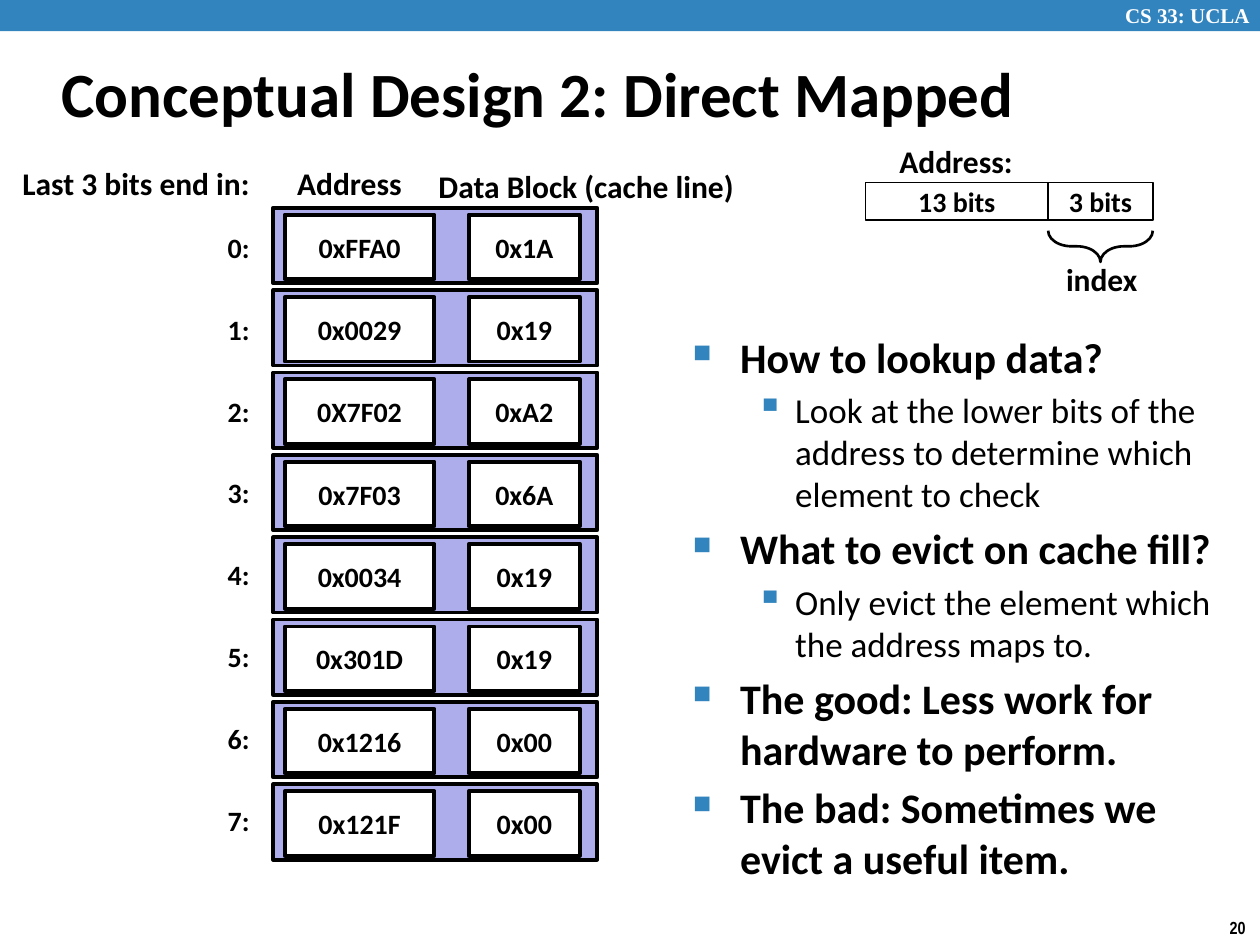
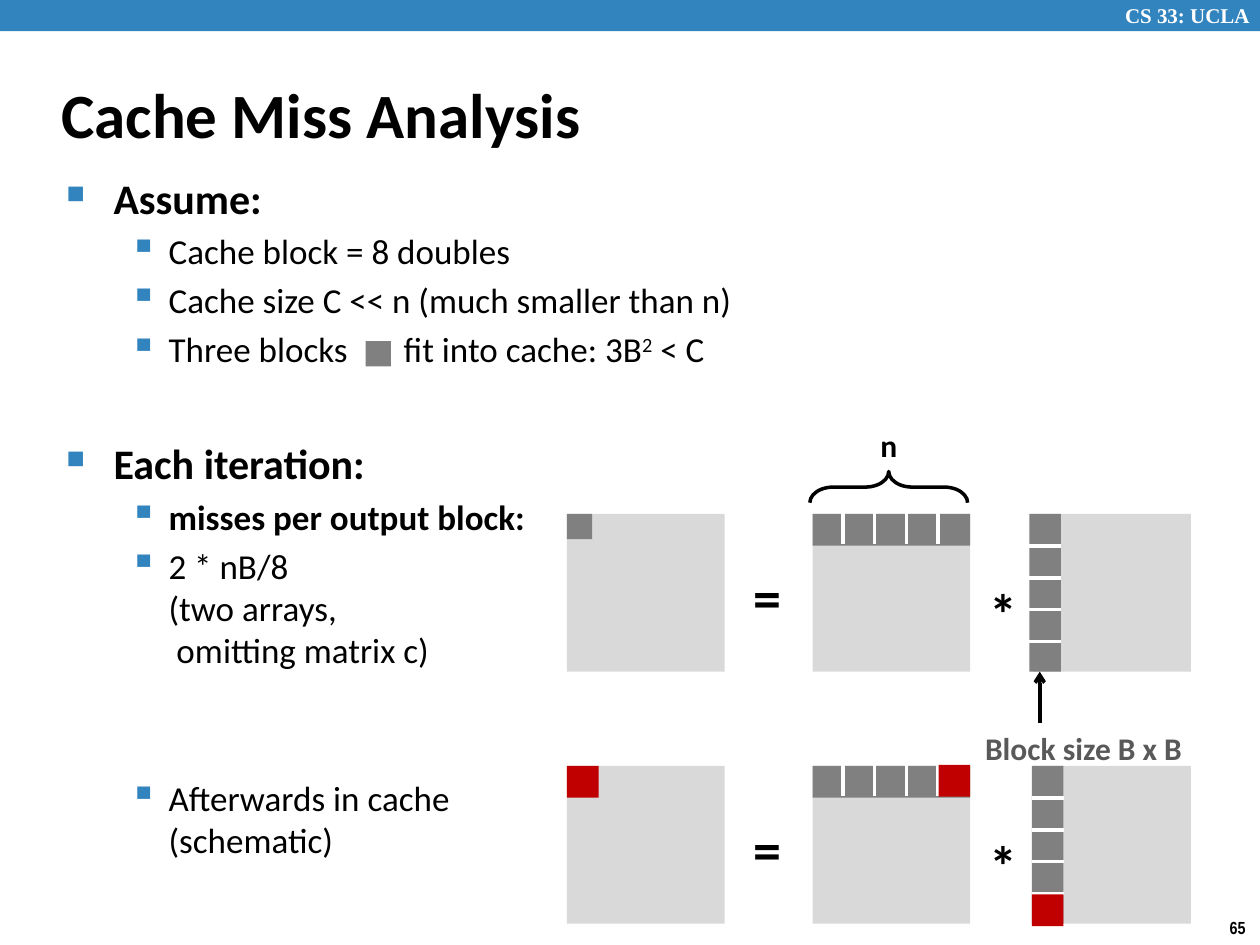
from dataclasses import dataclass

from lxml import etree
from pptx import Presentation
from pptx.dml.color import RGBColor
from pptx.enum.shapes import MSO_CONNECTOR, MSO_SHAPE
from pptx.enum.text import MSO_ANCHOR, PP_ALIGN
from pptx.oxml.ns import qn
from pptx.util import Cm, Pt

RECTANGLE = MSO_SHAPE.RECTANGLE
LEFT_BRACE = MSO_SHAPE.LEFT_BRACE
STRAIGHT = MSO_CONNECTOR.STRAIGHT
TOP, MIDDLE = MSO_ANCHOR.TOP, MSO_ANCHOR.MIDDLE
LEFT, CENTER = PP_ALIGN.LEFT, PP_ALIGN.CENTER

COLORS = {
    "band": "3284BF",
    "black": "000000",
    "white": "FFFFFF",
    "cache_line": "ADADEB",
    "matrix": "D9D9D9",
    "block": "808080",
    "cached": "C00000",
    "caption": "595959",
}


@dataclass
class Box:
    """Position and size in centimetres."""
    left: float
    top: float
    width: float
    height: float

    def lengths(self) -> tuple:
        return Cm(self.left), Cm(self.top), Cm(self.width), Cm(self.height)


@dataclass
class Bullet:
    text: str
    level: int = 0
    bold: bool = False
    space_before: float = 4
    tab: float = 0


@dataclass
class BulletStyle:
    symbol: str
    percent: int
    margin: float
    hanging: float
    size: int


@dataclass
class CacheLine:
    address: str
    data: str


BULLET_STYLES = [
    BulletStyle("■", 60, 0.95, 0.95, 24),
    BulletStyle("▪", 110, 2.06, 0.79, 20),
]


def rgb(name: str) -> RGBColor:
    return RGBColor.from_string(COLORS[name])


# Text: "\n" breaks a line, and a part between two "^" is raised
def write(paragraph, text: str, *, size: float, bold: bool = True, color: str = "black",
          font: str = "Calibri", align=LEFT) -> None:
    paragraph.alignment = align
    for line_number, line in enumerate(text.split("\n")):
        if line_number:
            paragraph.add_line_break()
        for part_number, part in enumerate(line.split("^")):
            run = paragraph.add_run()
            run.text = part
            run.font.size = Pt(size)
            run.font.bold = bold
            run.font.name = font
            run.font.color.rgb = rgb(color)
            if part_number % 2:
                run.font._element.set("baseline", "30000")


def add_text(slide, box: Box, text: str, *, wrap: bool = False, anchor=TOP, **text_format):
    shape = slide.shapes.add_textbox(*box.lengths())
    shape.text_frame.word_wrap = wrap
    shape.text_frame.vertical_anchor = anchor
    write(shape.text_frame.paragraphs[0], text, **text_format)
    return shape


def add_bullets(slide, box: Box, bullets: list[Bullet]) -> None:
    frame = slide.shapes.add_textbox(*box.lengths()).text_frame
    frame.word_wrap = True
    for number, bullet in enumerate(bullets):
        paragraph = frame.add_paragraph() if number else frame.paragraphs[0]
        style = BULLET_STYLES[bullet.level]
        properties = paragraph._p.get_or_add_pPr()
        properties.set("marL", str(Cm(style.margin)))
        properties.set("indent", str(-Cm(style.hanging)))
        color = etree.SubElement(properties, qn("a:buClr"))
        etree.SubElement(color, qn("a:srgbClr"), val=COLORS["band"])
        etree.SubElement(properties, qn("a:buSzPct"), val=str(style.percent * 1000))
        etree.SubElement(properties, qn("a:buChar"), char=style.symbol)
        if bullet.tab:
            tabs = etree.SubElement(properties, qn("a:tabLst"))
            etree.SubElement(tabs, qn("a:tab"), pos=str(Cm(bullet.tab)), algn="l")
        if number:
            paragraph.space_before = Pt(bullet.space_before)
        write(paragraph, bullet.text, size=style.size, bold=bullet.bold)


# Shapes and lines
def add_rectangle(slide, box: Box, fill: str, *, line_width: float = 0, text: str = "",
                  wrap: bool = False):
    shape = slide.shapes.add_shape(RECTANGLE, *box.lengths())
    shape.shadow.inherit = False
    shape.fill.solid()
    shape.fill.fore_color.rgb = rgb(fill)
    if line_width:
        shape.line.color.rgb = rgb("black")
        shape.line.width = Pt(line_width)
    else:
        shape.line.fill.background()
    if text:
        shape.text_frame.word_wrap = wrap
        shape.text_frame.vertical_anchor = MIDDLE
        write(shape.text_frame.paragraphs[0], text, size=16, align=CENTER)
    return shape


def add_brace(slide, box: Box, rotation: int, line_width: float) -> None:
    brace = slide.shapes.add_shape(LEFT_BRACE, *box.lengths())
    brace.shadow.inherit = False
    brace.rotation = rotation
    brace.adjustments[0] = 0.75
    brace.adjustments[1] = 0.5
    brace.fill.background()
    brace.line.color.rgb = rgb("black")
    brace.line.width = Pt(line_width)


def add_line(slide, start: tuple[float, float], end: tuple[float, float], color: str,
             arrow: bool = False) -> None:
    connector = slide.shapes.add_connector(STRAIGHT, *map(Cm, start + end))
    connector.line.color.rgb = rgb(color)
    connector.line.width = Pt(2)
    if arrow:
        etree.SubElement(connector.line._get_or_add_ln(), qn("a:tailEnd"), type="arrow")
    etree.SubElement(connector._element.spPr, qn("a:effectLst"))


# Band, course name, page number and title
def add_base_slide(presentation, title: str, title_top: float, page: int):
    slide = presentation.slides.add_slide(presentation.slide_layouts[6])
    add_rectangle(slide, Box(0, 0, 25.4, 0.63), "band")
    add_text(slide, Box(22.43, -0.08, 3.15, 0.76), "CS 33: UCLA", wrap=True, size=12,
             color="white", font="Times New Roman")
    add_text(slide, Box(24.54, 18.36, 0.86, 0.69), str(page), size=10, font="Arial Narrow")
    add_text(slide, Box(0.99, title_top, 21.08, 2.11), title, wrap=True, anchor=MIDDLE, size=36)
    return slide


def build_direct_mapped(presentation) -> None:
    slide = add_base_slide(presentation, "Conceptual Design 2: Direct Mapped", 0.81, 20)

    # Cache lines
    cache = [
        CacheLine("0xFFA0", "0x1A"), CacheLine("0x0029", "0x19"),
        CacheLine("0X7F02", "0xA2"), CacheLine("0x7F03", "0x6A"),
        CacheLine("0x0034", "0x19"), CacheLine("0x301D", "0x19"),
        CacheLine("0x1216", "0x00"), CacheLine("0x121F", "0x00"),
    ]
    for index, cache_line in enumerate(cache):
        top = 4.19 + 1.66 * index
        add_rectangle(slide, Box(5.51, top, 6.53, 1.52), "cache_line", line_width=2.25)
        add_rectangle(slide, Box(5.74, top + 0.14, 3.02, 1.3), "white", line_width=2.25,
                      text=cache_line.address)
        add_rectangle(slide, Box(9.45, top + 0.14, 2.24, 1.3), "white", line_width=2.25,
                      text=cache_line.data)
        add_text(slide, Box(4.34, 4.52 + 1.65 * index, 0.97, 0.94), f"{index}:", size=16)

    # Column headings
    add_text(slide, Box(0.2, 3.18, 5.13, 1.02), "Last 3 bits end in:", size=18)
    add_text(slide, Box(5.74, 3.18, 2.64, 1.02), "Address", size=18)
    add_text(slide, Box(8.59, 3.25, 6.53, 1.02), "Data Block (cache line)", size=18)

    # Address layout
    add_text(slide, Box(17.88, 2.74, 2.82, 1.02), "Address:", size=18)
    add_rectangle(slide, Box(17.45, 3.68, 3.68, 0.76), "white", line_width=1, text="13 bits",
                  wrap=True)
    add_rectangle(slide, Box(21.13, 3.68, 2.11, 0.76), "white", line_width=1, text="3 bits",
                  wrap=True)
    add_brace(slide, Box(21.87, 3.91, 0.63, 2.11), 270, 1.5)
    add_text(slide, Box(21.23, 5.11, 1.96, 1.02), "index", size=18, align=CENTER)

    add_bullets(slide, Box(13.72, 6.55, 11.05, 11.68), [
        Bullet("How to lookup data?", bold=True),
        Bullet("Look at the lower bits of the address to determine which element to check", 1),
        Bullet("What to evict on cache fill?", bold=True, space_before=4.8),
        Bullet("Only evict the element which the address maps to.", 1),
        Bullet("The good: Less work for hardware to perform.", bold=True, space_before=4.8),
        Bullet("The bad: Sometimes we evict a useful item.", bold=True, space_before=4.8),
    ])


# One product of matrices; cached blocks are marked when it is finished
def add_product(slide, top: float, column_left: float, finished: bool) -> None:
    output_left, row_left, side, block = 11.43, 16.38, 3.18, 0.64
    for left in (output_left, row_left, 20.83):
        add_rectangle(slide, Box(left, top, side, side), "matrix")
    add_text(slide, Box(14.94, top + 0.86, 1.09, 1.63), "=", size=32)
    add_text(slide, Box(19.69, top + 1.17, 1.09, 1.63), "*", size=32)
    add_rectangle(slide, Box(row_left, top, side, block), "block")
    add_rectangle(slide, Box(column_left, top, block, side), "block")
    for number in range(4):
        x = row_left + 0.61 + block * number
        y = top + 0.65 + block * number
        add_line(slide, (x, top - 0.03), (x, top + 0.61), "white")
        add_line(slide, (column_left + block, y), (column_left, y), "white")
    if finished:
        for left, block_top in ((output_left, top), (row_left + 2.54, top - 0.02),
                                (column_left, top + 2.59)):
            add_rectangle(slide, Box(left, block_top, block, block), "cached")
    else:
        add_rectangle(slide, Box(output_left, top, 0.51, 0.51), "block")


def build_miss_analysis(presentation) -> None:
    slide = add_base_slide(presentation, "Cache Miss Analysis", 1.22, 65)
    add_bullets(slide, Box(1.09, 3.35, 21.95, 8.48), [
        Bullet("Assume:", bold=True),
        Bullet("Cache block = 8 doubles", 1),
        Bullet("Cache size C << n (much smaller than n)", 1),
        Bullet("Three blocks\tfit into cache: 3B^2^ < C", 1, tab=6.8),
        Bullet("Each iteration:", bold=True, space_before=38.8),
        Bullet("misses per output block:", 1, bold=True),
        Bullet("2 * nB/8\n(two arrays,\n omitting matrix c)", 1),
        Bullet("Afterwards in cache\n(schematic)", 1, space_before=60.8),
    ])
    add_rectangle(slide, Box(7.37, 6.88, 0.51, 0.51), "block")

    add_product(slide, 15.44, 20.8, True)
    add_product(slide, 10.36, 20.75, False)

    # Dimension labels
    add_brace(slide, Box(17.6, 8.23, 0.63, 3.18), 90, 2)
    add_text(slide, Box(17.5, 8.46, 0.86, 1.02), "n", size=18)
    add_text(slide, Box(19.61, 14.58, 4.52, 1.02), "Block size B x B", size=18, color="caption")
    add_line(slide, (20.96, 14.58), (20.96, 13.54), "black", arrow=True)


def main() -> None:
    presentation = Presentation()
    presentation.slide_width = Cm(25.4)
    presentation.slide_height = Cm(19.05)
    build_direct_mapped(presentation)
    build_miss_analysis(presentation)
    presentation.save("out.pptx")


if __name__ == "__main__":
    main()
